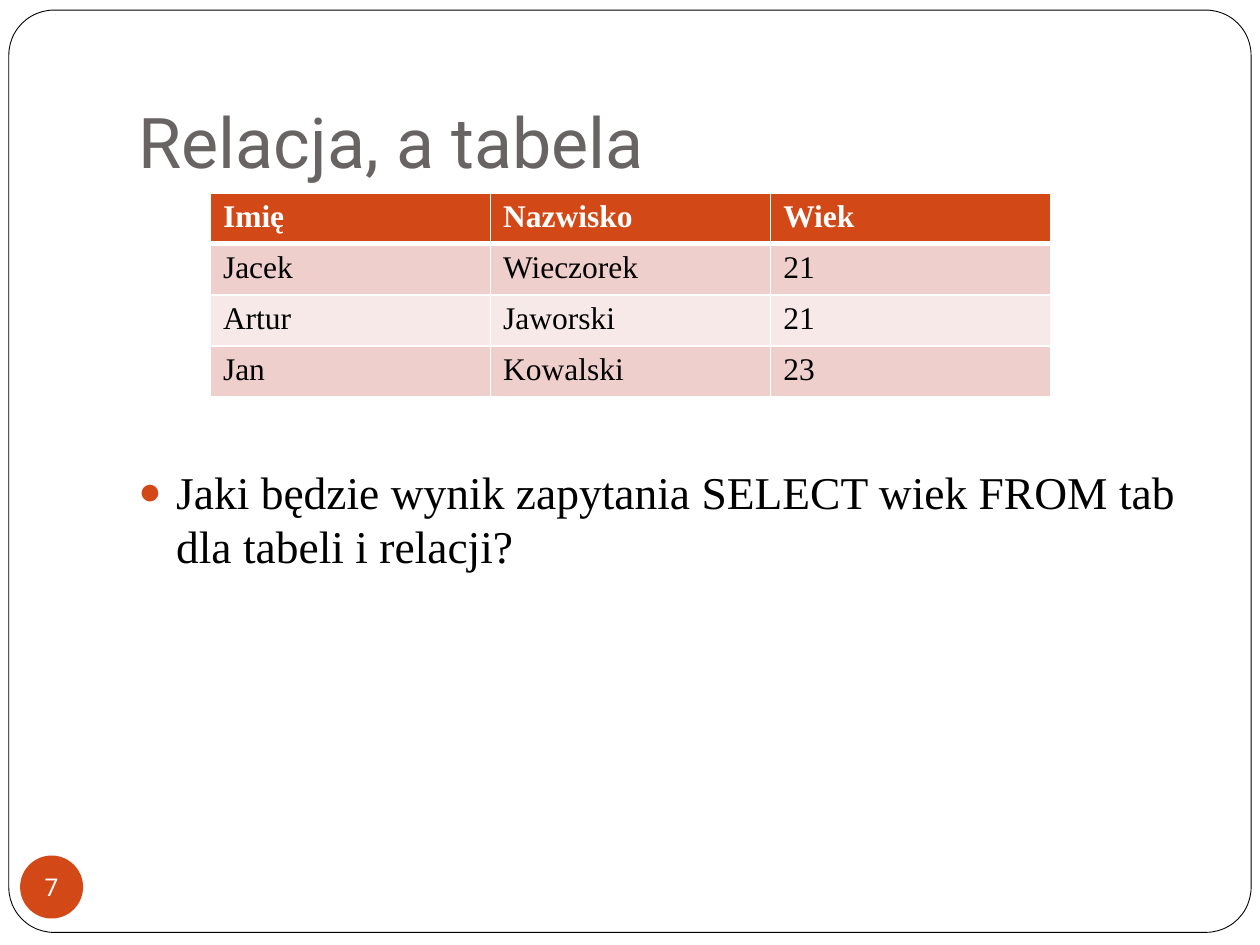
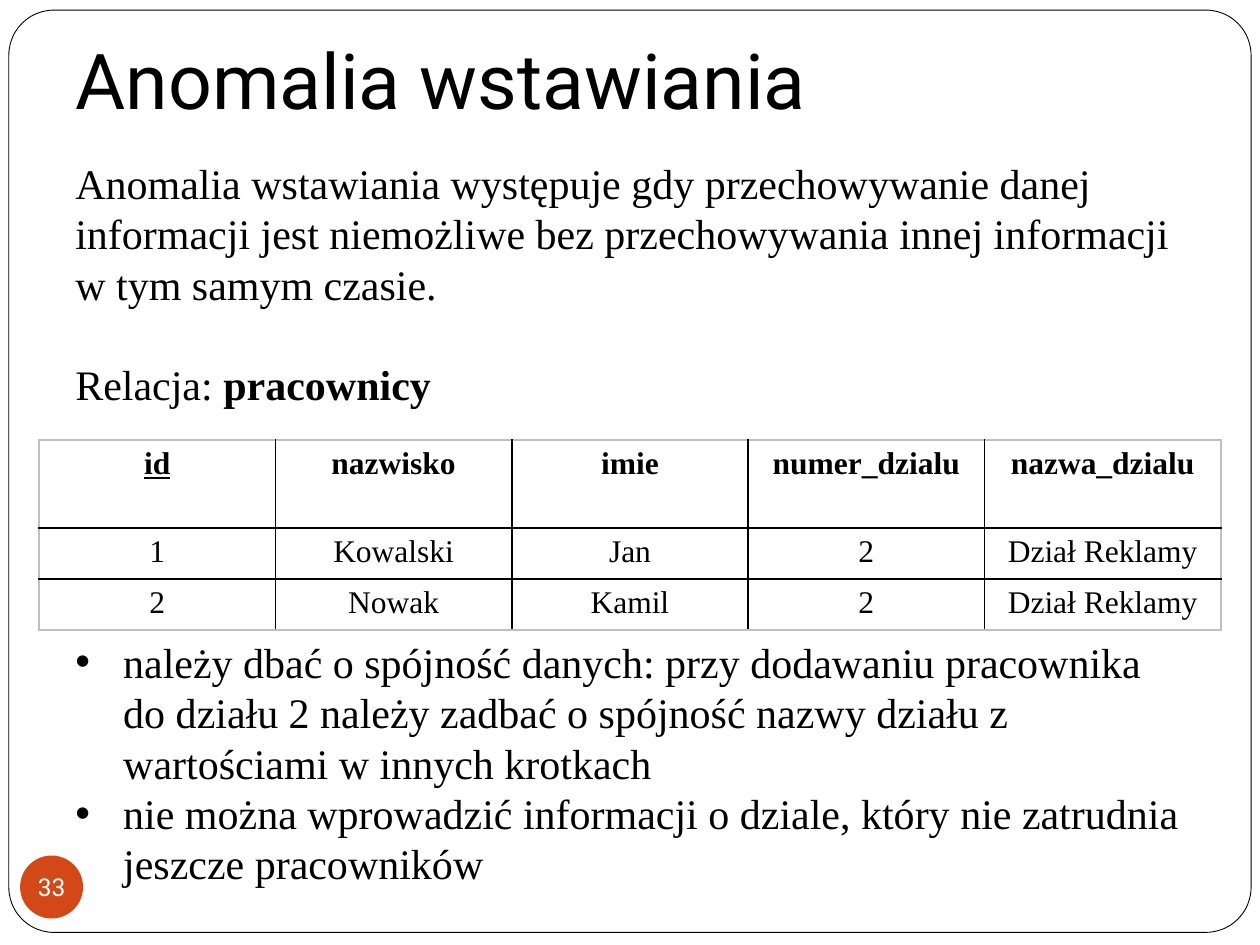
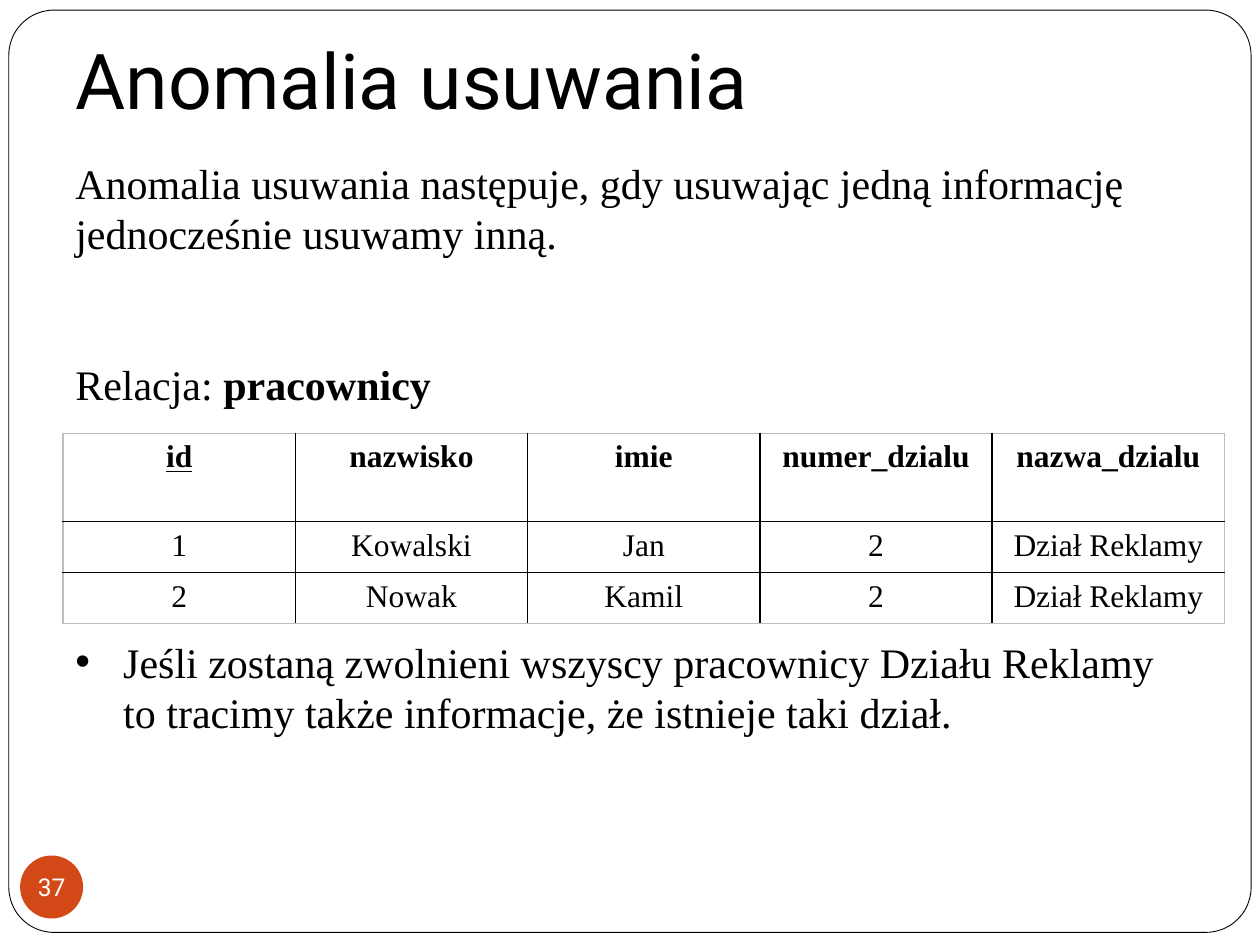
"""Builds three slides on relations, tables and data anomalies."""
from dataclasses import dataclass
from typing import Optional

from lxml import etree
from pptx import Presentation
from pptx import util as u
from pptx.dml.color import RGBColor
from pptx.enum import shapes, text
from pptx.oxml import ns


@dataclass(frozen=True)
class Theme:
    accent: str = "D34817"
    ink: str = "000000"
    paper: str = "FFFFFF"
    muted: str = "696464"
    edge: str = "BFBFBF"
    bands: tuple[str, str] = ("EFCFCC", "F7E9E8")
    heading_font: str = "Roboto"
    body_font: str = "Times New Roman"
    title_size: float = 40
    anomaly_title_size: float = 44
    question_size: float = 26
    body_size: float = 24
    table_size: float = 18
    number_size: float = 14


THEME = Theme()


@dataclass(frozen=True)
class Box:
    left: float
    top: float
    width: float
    height: float

    def lengths(self) -> tuple:
        return tuple(u.Inches(side) for side in (self.left, self.top, self.width, self.height))


@dataclass(frozen=True)
class Bullet:
    char: str
    indent: float
    color: str = THEME.ink
    percent: int = 100


@dataclass(frozen=True)
class TitleStyle:
    box: Box
    size: float
    color: str
    anchor: text.MSO_ANCHOR
    bottom_inset: float


@dataclass(frozen=True)
class GridStyle:
    header_fill: Optional[str]
    header_color: str
    bands: tuple
    inner: str
    outer: str
    header_rule: float
    align: text.PP_ALIGN
    header_height: Optional[float] = None
    underlined: str = ""


@dataclass(frozen=True)
class Anomaly:
    title: str
    number: int
    definition: str
    grid_box: Box
    effects: tuple[str, ...]
    effects_height: float


RELATION_TITLE = TitleStyle(Box(1, 0.3, 8.5, 1.25), THEME.title_size, THEME.muted,
                            text.MSO_ANCHOR.BOTTOM, 0.1)
ANOMALY_TITLE = TitleStyle(Box(0.5, 0, 9, 1.25), THEME.anomaly_title_size, THEME.ink,
                           text.MSO_ANCHOR.MIDDLE, 0.05)
BANDED = GridStyle(THEME.accent, THEME.paper, THEME.bands, THEME.paper, THEME.paper, 3,
                   text.PP_ALIGN.LEFT)
RULED = GridStyle(None, THEME.ink, (None,), THEME.ink, THEME.edge, 1,
                  text.PP_ALIGN.CENTER, 0.7, "id")
QUESTION_BULLET = Bullet("●", 0.3, THEME.accent, 85)
EFFECT_BULLET = Bullet("•", 0.38)

PEOPLE = (
    ("Imię", "Nazwisko", "Wiek"),
    ("Jacek", "Wieczorek", "21"),
    ("Artur", "Jaworski", "21"),
    ("Jan", "Kowalski", "23"),
)
EMPLOYEES = (
    ("id", "nazwisko", "imie", "numer_dzialu", "nazwa_dzialu"),
    ("1", "Kowalski", "Jan", "2", "Dział Reklamy"),
    ("2", "Nowak", "Kamil", "2", "Dział Reklamy"),
)
ANOMALIES = (
    Anomaly(
        "Anomalia wstawiania", 33,
        "Anomalia wstawiania występuje gdy przechowywanie danej informacji jest niemożliwe "
        "bez przechowywania innej informacji w tym samym czasie.",
        Box(0.31, 3.49, 9.38, 1.51),
        ("należy dbać o spójność danych: przy dodawaniu pracownika do działu 2 należy zadbać "
         "o spójność nazwy działu z wartościami w innych krotkach",
         "nie można wprowadzić informacji o dziale, który nie zatrudnia jeszcze pracowników"),
        2.12),
    Anomaly(
        "Anomalia usuwania", 37,
        "Anomalia usuwania następuje, gdy usuwając jedną informację jednocześnie usuwamy inną.",
        Box(0.5, 3.44, 9.22, 1.51),
        ("Jeśli zostaną zwolnieni wszyscy pracownicy Działu Reklamy to tracimy także "
         "informacje, że istnieje taki dział.",),
        0.91),
)


def style_font(font, name: str, size: float, color: str, bold: bool = False) -> None:
    font.name = name
    font.size = u.Pt(size)
    font.bold = bold
    font.color.rgb = RGBColor.from_string(color)


def add_bullet(paragraph, bullet: Bullet) -> None:
    properties = paragraph._p.get_or_add_pPr()
    indent = u.Inches(bullet.indent)
    properties.set("marL", str(indent))
    properties.set("indent", str(-indent))
    color = etree.SubElement(properties, ns.qn("a:buClr"))
    etree.SubElement(color, ns.qn("a:srgbClr"), val=bullet.color)
    etree.SubElement(properties, ns.qn("a:buSzPct"), val=str(bullet.percent * 1000))
    etree.SubElement(properties, ns.qn("a:buFont"), typeface="Arial")
    etree.SubElement(properties, ns.qn("a:buChar"), char=bullet.char)


def add_frame(slide) -> None:
    frame = slide.shapes.add_shape(shapes.MSO_SHAPE.ROUNDED_RECTANGLE,
                                   *Box(0.07, 0.08, 9.86, 7.32).lengths())
    frame.adjustments[0] = 0.049
    frame.shadow.inherit = False
    frame.fill.solid()
    frame.fill.fore_color.rgb = RGBColor.from_string(THEME.paper)
    frame.line.color.rgb = RGBColor.from_string(THEME.ink)
    frame.line.width = u.Pt(0.5)
    slide.shapes._spTree.insert(2, frame._element)


def set_title(slide, wording: str, style: TitleStyle) -> None:
    title = slide.shapes.title
    title.left, title.top, title.width, title.height = style.box.lengths()
    frame = title.text_frame
    frame.text = wording
    frame.word_wrap = True
    frame.auto_size = text.MSO_AUTO_SIZE.NONE
    frame.vertical_anchor = style.anchor
    frame.margin_bottom = u.Inches(style.bottom_inset)
    heading = frame.paragraphs[0]
    heading.alignment = text.PP_ALIGN.LEFT
    style_font(heading.font, THEME.heading_font, style.size, style.color)


def add_number(slide, number: int) -> None:
    badge = slide.shapes.add_shape(shapes.MSO_SHAPE.OVAL, *Box(0.16, 6.79, 0.5, 0.5).lengths())
    badge.shadow.inherit = False
    badge.fill.solid()
    badge.fill.fore_color.rgb = RGBColor.from_string(THEME.accent)
    badge.line.fill.background()
    frame = badge.text_frame
    frame.margin_left = frame.margin_top = frame.margin_right = frame.margin_bottom = 0
    frame.word_wrap = False
    frame.vertical_anchor = text.MSO_ANCHOR.MIDDLE
    frame.text = str(number)
    label = frame.paragraphs[0]
    label.alignment = text.PP_ALIGN.CENTER
    style_font(label.font, THEME.heading_font, THEME.number_size, THEME.paper)


def add_text(slide, box: Box, wordings: tuple[str, ...], size: float = THEME.body_size,
             bullet: Optional[Bullet] = None) -> list:
    frame = slide.shapes.add_textbox(*box.lengths()).text_frame
    frame.word_wrap = True
    frame.text = "\n".join(wordings)
    for paragraph in frame.paragraphs:
        if bullet:
            add_bullet(paragraph, bullet)
        style_font(paragraph.font, THEME.body_font, size, THEME.ink)
    return list(frame.paragraphs)


def add_border(cell, side: str, color: str, points: float) -> None:
    line = etree.SubElement(cell._tc.get_or_add_tcPr(), ns.qn(f"a:ln{side}"),
                            w=str(u.Pt(points)))
    fill = etree.SubElement(line, ns.qn("a:solidFill"))
    etree.SubElement(fill, ns.qn("a:srgbClr"), val=color)


def add_grid(slide, box: Box, rows: tuple, style: GridStyle) -> None:
    last_row, last_column = len(rows) - 1, len(rows[0]) - 1
    grid = slide.shapes.add_table(len(rows), len(rows[0]), *box.lengths()).table
    grid.horz_banding = False
    if style.header_height:
        grid.rows[0].height = u.Inches(style.header_height)
        for row in list(grid.rows)[1:]:
            row.height = u.Inches((box.height - style.header_height) / last_row)
    for r, values in enumerate(rows):
        for c, value in enumerate(values):
            cell = grid.cell(r, c)
            edges = {"L": c == 0, "R": c == last_column, "T": r == 0, "B": r == last_row}
            for side, is_outer in edges.items():
                under_header = (r, side) in ((0, "B"), (1, "T"))
                add_border(cell, side, style.outer if is_outer else style.inner,
                           style.header_rule if under_header else 1)
            fill = style.bands[(r - 1) % len(style.bands)] if r else style.header_fill
            if fill:
                cell.fill.solid()
                cell.fill.fore_color.rgb = RGBColor.from_string(fill)
            else:
                cell.fill.background()
            cell.text = value
            entry = cell.text_frame.paragraphs[0]
            entry.alignment = style.align
            style_font(entry.font, THEME.body_font, THEME.table_size,
                       THEME.ink if r else style.header_color, bold=r == 0)
            if r == 0 and value == style.underlined:
                entry.font.underline = True


def start_slide(deck, title: str, style: TitleStyle, number: int):
    slide = deck.slides.add_slide(deck.slide_layouts[5])
    add_frame(slide)
    set_title(slide, title, style)
    add_number(slide, number)
    return slide


def build_relation(deck) -> None:
    slide = start_slide(deck, "Relacja, a tabela", RELATION_TITLE, 7)
    add_text(slide, Box(1, 3.63, 8.5, 2.95),
             ("Jaki będzie wynik zapytania SELECT wiek FROM tab dla tabeli i relacji?",),
             THEME.question_size, QUESTION_BULLET)
    add_grid(slide, Box(1.67, 1.53, 6.67, 1.62), PEOPLE, BANDED)


def build_anomaly(deck, anomaly: Anomaly) -> None:
    slide = start_slide(deck, anomaly.title, ANOMALY_TITLE, anomaly.number)
    add_text(slide, Box(0.5, 1.2, 9, 1.45), (anomaly.definition,))
    add_grid(slide, anomaly.grid_box, EMPLOYEES, RULED)
    relation = add_text(slide, Box(0.5, 2.8, 9, 0.5), ("Relacja: ",))[0]
    relation_name = relation.add_run()
    relation_name.text = "pracownicy"
    relation_name.font.bold = True
    add_text(slide, Box(0.5, 5, 9, anomaly.effects_height), anomaly.effects,
             bullet=EFFECT_BULLET)


def main() -> None:
    deck = Presentation()
    deck.slide_width, deck.slide_height = u.Inches(10), u.Inches(7.5)
    build_relation(deck)
    for anomaly in ANOMALIES:
        build_anomaly(deck, anomaly)
    deck.save("out.pptx")


if __name__ == "__main__":
    main()
